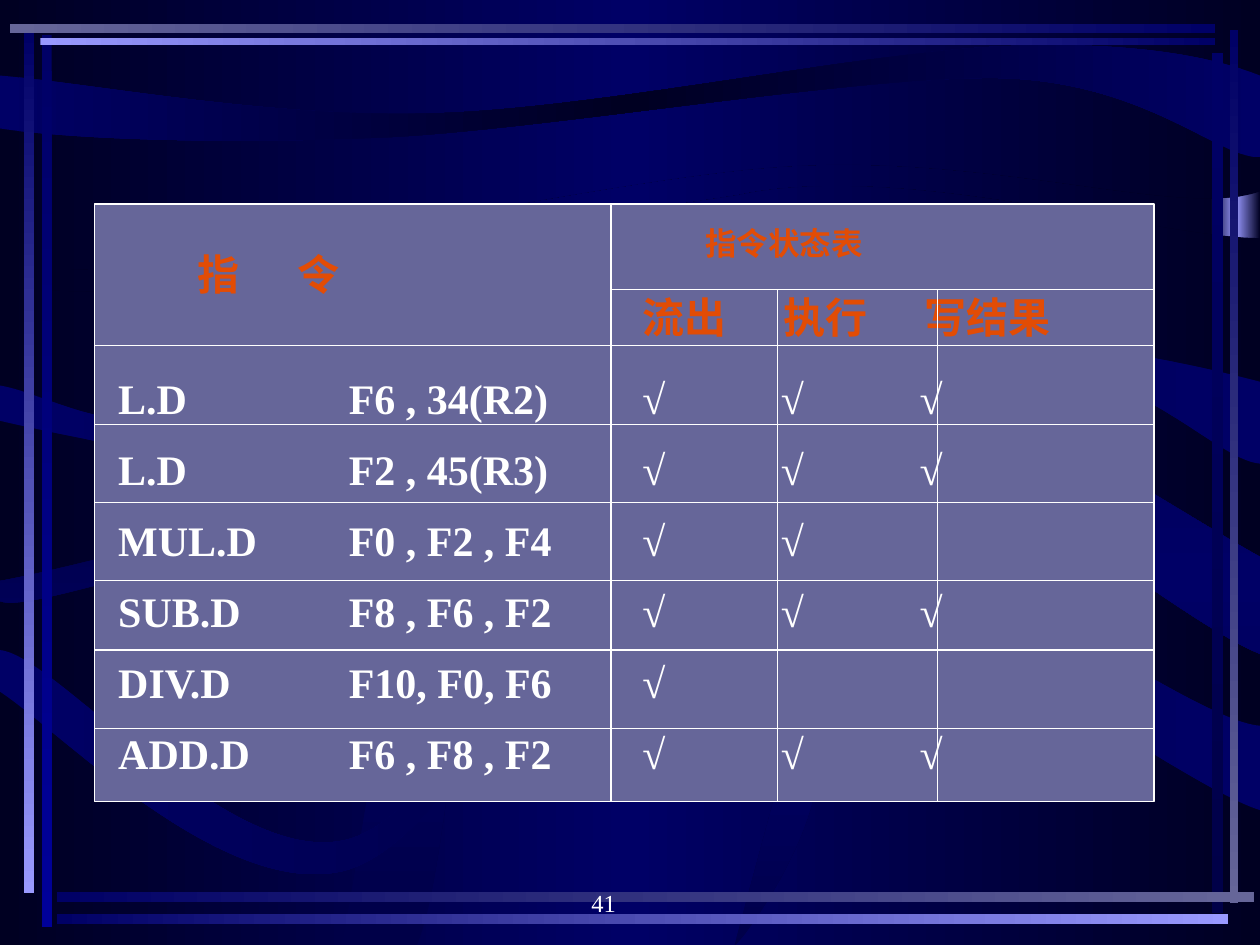
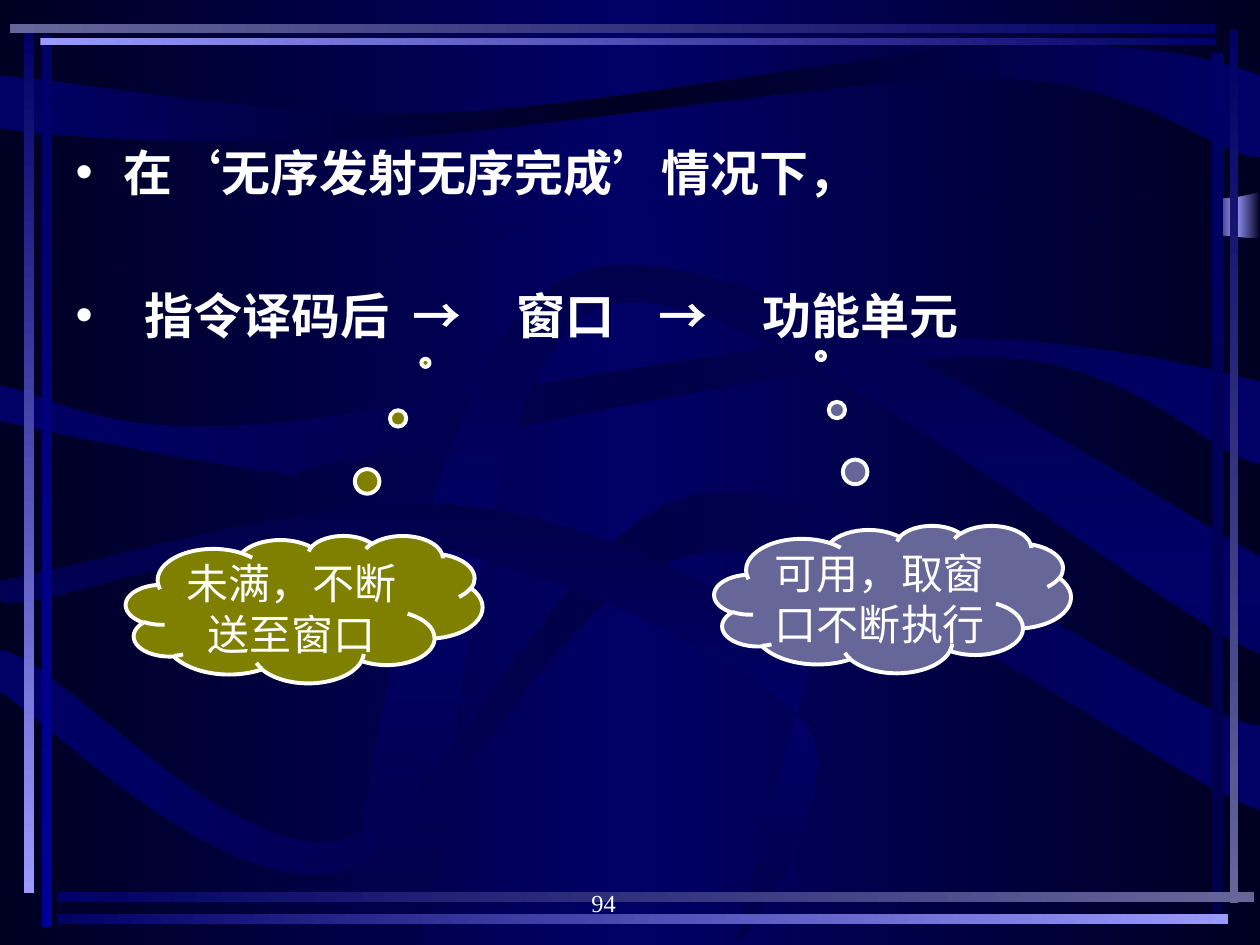
"""Build two slides on instruction status and out-of-order issue in a dark blue ribbon theme."""
from dataclasses import dataclass

from lxml import etree
from pptx import Presentation
from pptx import util as u
from pptx.dml.color import RGBColor
from pptx.enum import shapes, text
from pptx.oxml.ns import qn


@dataclass(frozen=True)
class Theme:
    """Colours, fonts and type sizes of the deck."""
    night: str = "000022"
    dusk: str = "000048"
    navy: str = "000066"
    royal: str = "000099"
    slate: str = "666699"
    lilac: str = "9999FF"
    olive: str = "808000"
    orange: str = "E24C05"
    white: str = "FFFFFF"
    latin: str = "Times New Roman"
    arrow: str = "Arial"
    chinese: str = "Noto Sans CJK SC"
    bullet: int = 28
    large: int = 24
    medium: int = 18
    small: int = 14


THEME = Theme()
ACROSS, DOWN = 0, 90
DEEP = (THEME.night, THEME.navy, THEME.night)
BRIGHT = (THEME.navy, THEME.night, THEME.navy)
SOFT = (THEME.navy, THEME.dusk, THEME.navy)
MIST = (THEME.dusk, THEME.navy, THEME.dusk)

GLOW = ((9.61, 0.49, 0.39, 3.45), (THEME.night, THEME.lilac, THEME.night), ACROSS)
RIBBONS = [
    (DEEP, ACROSS, [(0, 0), (10, 0), (10, 1.52), (9.38, 1.74, 7.92, 1.22, 6.25, 1.32),
                    (4.58, 1.42, 1.04, 2.33, 0, 2.11)]),
    (DEEP, ACROSS, [(0, 2.28), (1.78, 2.45, 3.4, 1.94, 4.58, 1.74),
                    (4.58, 1.74, 5.67, 1.58, 5.86, 1.55),
                    (7.15, 1.27, 9.17, 1.89, 10, 1.89), (10, 7.5), (0, 7.5)]),
    (BRIGHT, ACROSS, [(0, 0.6), (0, 1.02), (0.51, 1.1, 1.76, 1.15, 3.08, 1.09),
                      (4.4, 1.02, 6.79, 0.6, 7.94, 0.62), (9.09, 0.65, 9.66, 1.25, 10, 1.25),
                      (10, 0.6), (9.65, 0.46, 9.01, 0.32, 7.92, 0.37),
                      (6.82, 0.42, 4.77, 0.86, 3.45, 0.9), (2.13, 0.94, 0.72, 0.66, 0, 0.6)]),
    (SOFT, ACROSS, [(0, 3.06), (0, 3.34), (0.37, 3.43, 1.75, 3.7, 2.22, 3.75),
                    (2.69, 3.8, 1.9, 3.79, 2.82, 3.64), (3.75, 3.48, 6.6, 2.82, 7.8, 2.83),
                    (9, 2.83, 9.63, 3.65, 10, 3.68), (10, 3.03),
                    (9.5, 2.9, 8.36, 2.63, 7.01, 2.69), (5.66, 2.74, 3.07, 3.32, 1.9, 3.38),
                    (0.73, 3.44, 0.4, 3.13, 0, 3.06)]),
    (MIST, DOWN, [(2.71, 7.5), (2.91, 6.61, 3.32, 2.69, 4.54, 2.18),
                  (5.75, 1.66, 9.09, 3.92, 10, 4.42), (10, 5.19),
                  (9.13, 4.85, 5.91, 2.05, 4.79, 2.43), (3.68, 2.82, 3.66, 6.66, 3.31, 7.5)]),
    (SOFT, ACROSS, [(0, 5.16), (0, 5.49), (0.45, 5.78, 1.74, 7.11, 2.69, 6.92),
                    (3.63, 6.74, 4.43, 4.46, 5.65, 4.38), (6.87, 4.29, 9.27, 6.2, 10, 6.43),
                    (10, 5.76), (9.38, 5.72, 6.91, 3.77, 5.62, 3.91),
                    (4.41, 4.06, 3.67, 6.46, 2.73, 6.67), (1.79, 6.87, 0.45, 5.2, 0, 5.16)]),
    (MIST, DOWN, [(0, 4.61), (0, 4.77), (0.26, 4.89, 2.08, 4.13, 3.14, 4.28),
                  (4.2, 4.44, 5.92, 5.18, 6.37, 5.72), (6.82, 6.25, 5.82, 7.57, 5.83, 7.5),
                  (6.42, 5.32), (6.06, 4.74, 4.73, 4.13, 3.66, 4.01),
                  (2.59, 3.89, 0.76, 4.48, 0, 4.61)]),
]
FRAME_BARS = [
    ((0.33, 0.28, 0.08, 7.08), (THEME.navy, THEME.royal), DOWN),
    ((0.19, 0.25, 0.08, 6.84), (THEME.navy, THEME.lilac), DOWN),
    ((9.76, 0.24, 0.07, 6.93), (THEME.navy, THEME.slate), DOWN),
    ((9.62, 0.42, 0.09, 6.83), (THEME.navy, THEME.dusk), DOWN),
    ((0.45, 7.08, 9.5, 0.08), (THEME.navy, THEME.slate), ACROSS),
    ((0.45, 7.25, 9.3, 0.08), (THEME.navy, THEME.lilac), ACROSS),
    ((0.32, 0.3, 9.32, 0.06), (THEME.lilac, THEME.navy), ACROSS),
    ((0.08, 0.19, 9.56, 0.07), (THEME.slate, THEME.navy), ACROSS),
]

GRID_LEFT, GRID_TOP, GRID_RIGHT, GRID_BOTTOM = 0.75, 1.62, 9.16, 6.36
STATUS_LEFT, STAGE_TOP = 4.85, 2.3
ROW_LINES = [2.74, 3.37, 3.99, 4.61, 5.16, 5.78]
STAGE_LINES = [6.17, 7.44]
HEADING = "指\t令"
STATUS_HEADING = "指令状态表"
STAGES = ["流出", "执行", "写结果"]
INSTRUCTIONS = [
    ("L.D", "F6 , 34(R2)", 3),
    ("L.D", "F2 , 45(R3)", 3),
    ("MUL.D", "F0 , F2 , F4", 2),
    ("SUB.D", "F8 , F6 , F2", 3),
    ("DIV.D", "F10, F0, F6", 1),
    ("ADD.D", "F6 , F8 , F2", 3),
]

BULLETS = [
    (0.38, 0, [], ["在‘无序发射无序完成’情况下，"]),
    (0.55, 48, [2.67, 3.5, 4.63, 5.45],
     ["指令译码后\t", "→", "\t窗口\t", "→", "\t功能单元"]),
]
CLOUDS = [
    ("未满，不断送至窗口", (1, 4.25, 2.83, 1.17), (0.34, -1.671), THEME.olive),
    ("可用，取窗口不断执行", (5.67, 4.17, 2.83, 1.17), (-0.201, -1.649), THEME.slate),
]


def inch(value):
    """Turn inches into a centimetre length."""
    return u.Cm(value * 2.54)


def assign(target, **values):
    """Set each named attribute on the target."""
    for name, value in values.items():
        setattr(target, name, value)


def rgb(colour):
    """Turn a hex string into a colour."""
    return RGBColor.from_string(colour)


def paint(fill, owner, colours, angle):
    """Fill with evenly spaced gradient stops."""
    fill.gradient()
    fill.gradient_angle = (360 - angle) % 360
    stops = next(owner.iter(qn("a:gsLst")))
    for stop in list(stops):
        stops.remove(stop)
    for index, colour in enumerate(colours):
        stop = etree.SubElement(stops, qn("a:gs"), pos=str(index * 100000 // (len(colours) - 1)))
        etree.SubElement(stop, qn("a:srgbClr"), val=colour)


def add_span(para, words, size, colour=THEME.white, bold=False, latin=THEME.latin):
    """Add one formatted run to a paragraph."""
    span = para.add_run()
    span.text = words
    assign(span.font, size=u.Pt(size), bold=bold, name=latin)
    span.font.color.rgb = rgb(colour)
    etree.SubElement(span.font._element, qn("a:ea"), typeface=THEME.chinese)


def add_tabs(para, stops):
    """Give a paragraph left tab stops, in inches."""
    tab_list = etree.SubElement(para._p.get_or_add_pPr(), qn("a:tabLst"))
    for stop in stops:
        etree.SubElement(tab_list, qn("a:tab"), pos=str(inch(stop)), algn="l")


def add_bar(page, place, colours, angle):
    """Draw a borderless gradient bar."""
    bar = page.shapes.add_shape(shapes.MSO_SHAPE.RECTANGLE, *map(inch, place))
    finish_decor(bar, colours, angle)


def add_ribbon(page, colours, angle, segments):
    """Draw a gradient ribbon, six numbers in a segment making a curve."""
    points = [(inch(x), inch(y)) for segment in segments
              for x, y in zip(segment[::2], segment[1::2])]
    builder = page.shapes.build_freeform(*points[0])
    builder.add_line_segments(points[1:], close=True)
    ribbon = builder.convert_to_shape()
    strokes = iter(list(ribbon.element.iter(qn("a:lnTo"))))
    for segment in segments[1:]:
        stroke = next(strokes)
        if len(segment) == 6:
            curve = etree.Element(qn("a:cubicBezTo"))
            stroke.addprevious(curve)
            for part in (stroke, next(strokes), next(strokes)):
                curve.append(part[0])
                part.getparent().remove(part)
    finish_decor(ribbon, colours, angle)


def finish_decor(shape, colours, angle):
    """Remove line and shadow and apply the gradient."""
    shape.shadow.inherit = False
    shape.line.fill.background()
    paint(shape.fill, shape.element, colours, angle)


def dress_master(deck, page):
    """Draw the shared backdrop on an empty page and move it to the master."""
    master = deck.slide_master
    paint(master.background.fill, master.element, DEEP, ACROSS)
    add_bar(page, *GLOW)
    for ribbon in RIBBONS:
        add_ribbon(page, *ribbon)
    for bar in FRAME_BARS:
        add_bar(page, *bar)
    for number, shape in enumerate(list(page.shapes), 100):
        shape.element.nvSpPr.cNvPr.id = number
        master.element.cSld.spTree.append(shape.element)


def add_box(page, *place, top=0.05):
    """Add a wrapping text box and return its frame."""
    frame = page.shapes.add_textbox(*map(inch, place)).text_frame
    assign(frame, word_wrap=True, margin_top=inch(top))
    return frame


def add_page_number(page, number):
    """Put the page number at the foot."""
    frame = add_box(page, 3.75, 6.83, 2.08, 0.5)
    frame.vertical_anchor = text.MSO_ANCHOR.BOTTOM
    para = frame.paragraphs[0]
    para.alignment = text.PP_ALIGN.CENTER
    add_span(para, str(number), THEME.small)


def add_rule(page, *ends):
    """Draw one white grid line."""
    rule = page.shapes.add_connector(shapes.MSO_CONNECTOR.STRAIGHT, *map(inch, ends))
    style_outline(rule.line, 0.75)
    etree.SubElement(rule.element.spPr, qn("a:effectLst"))


def style_outline(line, width):
    """Make a line white and of the given width."""
    line.color.rgb = rgb(THEME.white)
    line.width = u.Pt(width)


def add_panel(page, kind, place, colour, width):
    """Draw a filled shape with a white outline."""
    panel = page.shapes.add_shape(kind, *map(inch, place))
    panel.shadow.inherit = False
    panel.fill.solid()
    panel.fill.fore_color.rgb = rgb(colour)
    style_outline(panel.line, width)
    return panel


def write_headings(page):
    """Write the instruction and status headings."""
    para = add_box(page, 1.47, 1.88, 2.71, 0.54, top=0.09).paragraphs[0]
    add_tabs(para, [0.79])
    add_span(para, HEADING, THEME.large, THEME.orange, True, THEME.chinese)

    frame = add_box(page, 5, GRID_TOP, 4.52, 1.14, top=0.16)
    status = frame.paragraphs[0]
    status._p.get_or_add_pPr().set("marL", str(inch(0.5)))
    add_span(status, STATUS_HEADING, THEME.medium, THEME.orange, True, THEME.chinese)
    stages = frame.add_paragraph()
    add_tabs(stages, [1.12, 2.24])
    stages.space_before = u.Pt(17)
    add_span(stages, "\t".join(STAGES), THEME.large, THEME.orange, True)


def write_instructions(page):
    """Write one line for each instruction with its finished stages."""
    frame = add_box(page, 0.84, 2.83, 8.77, 4.06)
    for index, (operation, operands, done) in enumerate(INSTRUCTIONS):
        para = frame.add_paragraph() if index else frame.paragraphs[0]
        add_tabs(para, [1.83, 4.16, 5.26, 6.36])
        assign(para, line_spacing=1.2, space_before=u.Pt(6 if index else 0))
        add_span(para, "\t".join([operation, operands] + ["√"] * done), THEME.large, bold=True)


def add_status_grid(page):
    """Draw the instruction status grid with its words."""
    place = (GRID_LEFT, GRID_TOP, GRID_RIGHT - GRID_LEFT, GRID_BOTTOM - GRID_TOP)
    add_panel(page, shapes.MSO_SHAPE.RECTANGLE, place, THEME.slate, 0.75)
    write_headings(page)
    write_instructions(page)
    for y in ROW_LINES:
        add_rule(page, GRID_LEFT, y, GRID_RIGHT, y)
    add_rule(page, STATUS_LEFT, STAGE_TOP, GRID_RIGHT, STAGE_TOP)
    add_rule(page, STATUS_LEFT, GRID_TOP, STATUS_LEFT, GRID_BOTTOM)
    for x in STAGE_LINES:
        add_rule(page, x, STAGE_TOP, x, GRID_BOTTOM)


def fill_bullets(body):
    """Place the body placeholder and write its bullets."""
    assign(body, left=inch(0.5), top=inch(1.08), width=inch(9.17), height=inch(5.58))
    frame = body.text_frame
    frame.auto_size = text.MSO_AUTO_SIZE.NONE
    for index, (indent, gap, stops, pieces) in enumerate(BULLETS):
        para = frame.add_paragraph() if index else frame.paragraphs[0]
        properties = para._p.get_or_add_pPr()
        properties.set("marL", str(inch(indent)))
        properties.set("indent", str(-inch(indent)))
        etree.SubElement(properties, qn("a:buChar"), char="•")
        add_tabs(para, stops)
        para.space_before = u.Pt(gap)
        for piece in pieces:
            latin = THEME.arrow if piece == "→" else THEME.latin
            add_span(para, piece, THEME.bullet, bold=True, latin=latin)


def add_cloud(page, words, place, tail, colour):
    """Draw a thought cloud."""
    cloud = add_panel(page, shapes.MSO_SHAPE.CLOUD_CALLOUT, place, colour, 2.25)
    cloud.adjustments[0], cloud.adjustments[1] = tail
    assign(cloud.text_frame, word_wrap=True, vertical_anchor=text.MSO_ANCHOR.TOP,
           margin_left=0, margin_right=0, margin_top=0, margin_bottom=0)
    para = cloud.text_frame.paragraphs[0]
    para.alignment = text.PP_ALIGN.CENTER
    add_span(para, words, THEME.large)


def main():
    """Build and save the deck."""
    deck = Presentation()
    assign(deck, slide_width=inch(10), slide_height=inch(7.5))
    status_page = deck.slides.add_slide(deck.slide_layouts.get_by_name("Blank"))
    dress_master(deck, status_page)
    add_status_grid(status_page)
    add_page_number(status_page, 41)

    issue_page = deck.slides.add_slide(deck.slide_layouts.get_by_name("Title and Content"))
    title = issue_page.shapes.title.element
    title.getparent().remove(title)
    fill_bullets(issue_page.placeholders[1])
    for cloud in CLOUDS:
        add_cloud(issue_page, *cloud)
    add_page_number(issue_page, 94)
    deck.save("out.pptx")


if __name__ == "__main__":
    main()
